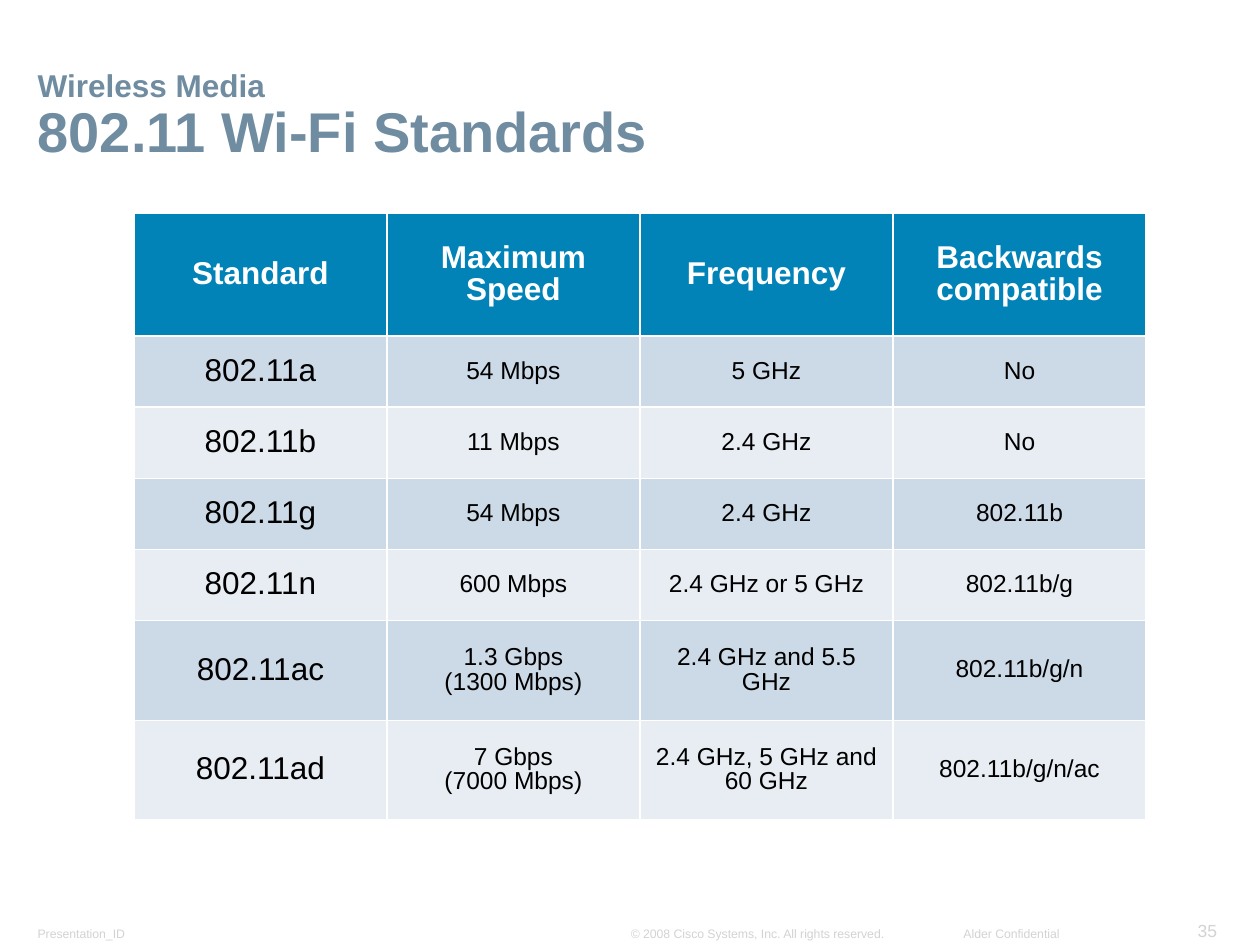
"""Build the slide that compares the 802.11 Wi-Fi standards in a table."""
from dataclasses import dataclass

from pptx import Presentation
from pptx.dml.color import RGBColor
from pptx.enum.text import MSO_ANCHOR, MSO_AUTO_SIZE, PP_ALIGN
from pptx.slide import Slide
from pptx.util import Pt

LEFT, CENTER, RIGHT = PP_ALIGN.LEFT, PP_ALIGN.CENTER, PP_ALIGN.RIGHT
MIDDLE, BOTTOM = MSO_ANCHOR.MIDDLE, MSO_ANCHOR.BOTTOM
NO_AUTOFIT = MSO_AUTO_SIZE.NONE
TITLE_ONLY_LAYOUT = 5


@dataclass(frozen=True)
class Theme:
    """Hold the colours and type sizes of the slide."""
    font: str = "Arial"
    title: str = "708CA1"
    header: str = "0183B7"
    bands: tuple[str, str] = ("CCD9E6", "E7EDF3")
    white: str = "FFFFFF"
    black: str = "000000"
    footer: str = "D3D3D3"
    title_size: float = 32
    heading_size: float = 18
    cell_size: float = 14
    number_size: float = 10
    footer_size: float = 7


@dataclass(frozen=True)
class Footer:
    """Describe one footer text and its box in points."""
    text: str
    left: float
    top: float
    width: float
    height: float
    align: PP_ALIGN = LEFT
    size: float = Theme.footer_size


@dataclass(frozen=True)
class Standard:
    """Describe one table row."""
    name: str
    speed: str
    frequency: str
    compatible: str
    height: float = 40.7


THEME = Theme()
TALL_ROW = 56.9
HEADER_HEIGHT = 70
COLUMN_WIDTH = 144.6
TABLE_LEFT, TABLE_TOP = 76.5, 122
HEADERS = ("Standard", "Maximum Speed", "Frequency", "Backwards compatible")
STANDARDS = (
    Standard("802.11a", "54 Mbps", "5 GHz", "No"),
    Standard("802.11b", "11 Mbps", "2.4 GHz", "No"),
    Standard("802.11g", "54 Mbps", "2.4 GHz", "802.11b"),
    Standard("802.11n", "600 Mbps", "2.4 GHz or 5 GHz", "802.11b/g"),
    Standard("802.11ac", "1.3 Gbps\n(1300 Mbps)", "2.4 GHz and 5.5 GHz", "802.11b/g/n", TALL_ROW),
    Standard("802.11ad", "7 Gbps\n(7000 Mbps)", "2.4 GHz, 5 GHz and 60 GHz", "802.11b/g/n/ac", TALL_ROW),
)
FOOTERS = (
    Footer("Presentation_ID", 15, 525.6, 75.6, 15),
    Footer("35", 676.8, 522, 25.2, 18.7, RIGHT, THEME.number_size),
    Footer("© 2008 Cisco Systems, Inc. All rights reserved.", 354, 525.6, 159, 15),
    Footer("Alder Confidential", 543, 525.6, 69, 15, RIGHT),
)


def write_text(text_frame, text: str, *, sizes: tuple[float, ...], color: str,
               bold: bool = False, align: PP_ALIGN = LEFT, spacing: float = 0.9) -> None:
    """Write one paragraph per line, repeating the last size as needed."""
    text_frame.text = text
    for index, paragraph in enumerate(text_frame.paragraphs):
        paragraph.alignment = align
        paragraph.line_spacing = spacing
        paragraph.space_before = paragraph.space_after = Pt(0)
        for run in paragraph.runs:
            run.font.name = THEME.font
            run.font.size = Pt(sizes[min(index, len(sizes) - 1)])
            run.font.bold = bold
            run.font.color.rgb = RGBColor.from_string(color)


def set_frame(text_frame, wrap: bool) -> None:
    """Anchor a frame at the bottom with the slide's usual margins."""
    text_frame.auto_size = NO_AUTOFIT
    text_frame.word_wrap = wrap
    text_frame.vertical_anchor = BOTTOM
    text_frame.margin_left = text_frame.margin_right = Pt(6.5)
    text_frame.margin_top = text_frame.margin_bottom = Pt(3.2)


def add_title(slide: Slide) -> None:
    """Place the two-line title."""
    title = slide.shapes.title
    title.left, title.top, title.width, title.height = Pt(15), Pt(31), Pt(690.5), Pt(66.2)
    set_frame(title.text_frame, wrap=True)
    write_text(title.text_frame, "Wireless Media\n802.11 Wi-Fi Standards",
               sizes=(THEME.heading_size, THEME.title_size), color=THEME.title, bold=True)


def add_footer(slide: Slide, footer: Footer) -> None:
    """Place one footer text."""
    box = slide.shapes.add_textbox(Pt(footer.left), Pt(footer.top), Pt(footer.width), Pt(footer.height))
    set_frame(box.text_frame, wrap=False)
    write_text(box.text_frame, footer.text, sizes=(footer.size,), color=THEME.footer,
               align=footer.align, spacing=1.0)


def fill_cell(cell, text: str, *, fill: str, size: float, color: str, bold: bool = False) -> None:
    """Fill one table cell and write its centred text."""
    cell.fill.solid()
    cell.fill.fore_color.rgb = RGBColor.from_string(fill)
    cell.vertical_anchor = MIDDLE
    write_text(cell.text_frame, text, sizes=(size,), color=color, bold=bold, align=CENTER)


def add_standards_table(slide: Slide) -> None:
    """Place the table of standards with alternating row fills."""
    heights = [HEADER_HEIGHT, *(standard.height for standard in STANDARDS)]
    table = slide.shapes.add_table(
        len(heights), len(HEADERS), Pt(TABLE_LEFT), Pt(TABLE_TOP),
        Pt(COLUMN_WIDTH * len(HEADERS)), Pt(sum(heights))).table
    for column in table.columns:
        column.width = Pt(COLUMN_WIDTH)
    for row, height in zip(table.rows, heights):
        row.height = Pt(height)
    for index, header in enumerate(HEADERS):
        fill_cell(table.cell(0, index), header, fill=THEME.header,
                  size=THEME.heading_size, color=THEME.white, bold=True)
    for row_index, standard in enumerate(STANDARDS):
        values = (standard.name, standard.speed, standard.frequency, standard.compatible)
        for column_index, value in enumerate(values):
            fill_cell(table.cell(row_index + 1, column_index), value,
                      fill=THEME.bands[row_index % 2], color=THEME.black,
                      size=THEME.cell_size if column_index else THEME.heading_size)


def main() -> None:
    """Build and save the presentation."""
    presentation = Presentation()
    presentation.slide_width, presentation.slide_height = Pt(720), Pt(540)
    slide = presentation.slides.add_slide(presentation.slide_layouts[TITLE_ONLY_LAYOUT])
    for footer in FOOTERS:
        add_footer(slide, footer)
    add_title(slide)
    add_standards_table(slide)
    presentation.save("out.pptx")


if __name__ == "__main__":
    main()
